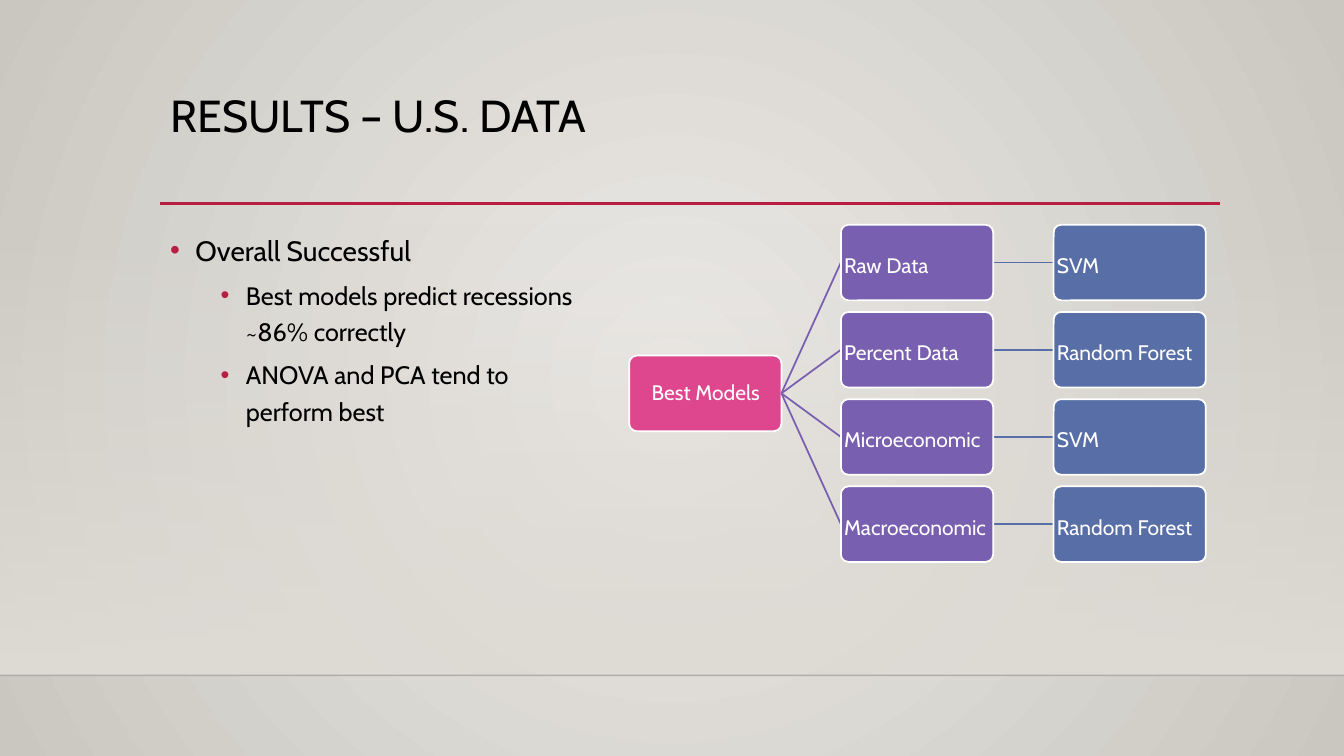
from dataclasses import dataclass

import pptx
import pptx.dml.color
import pptx.enum.shapes
import pptx.enum.text
import pptx.oxml.ns
import pptx.util
from lxml import etree

Inches = pptx.util.Inches
Pt = pptx.util.Pt
qn = pptx.oxml.ns.qn
ALIGN = pptx.enum.text.PP_ALIGN


@dataclass(frozen=True)
class Theme:
    font: str = "Cabin"
    ink: str = "000000"
    white: str = "FFFFFF"
    accent: str = "B71E42"
    floor_edge: str = "000001"
    wall_center: str = "ECEAE7"
    wall_edge: str = "CAC7C1"
    haze: str = "DFDBD5"
    root: str = "DE478E"
    dataset: str = "795FAF"
    model: str = "586EA6"
    title_size: int = 32
    bullet_size: int = 20
    sub_bullet_size: int = 18
    node_size: int = 15


THEME = Theme()
SLIDE_WIDTH, SLIDE_HEIGHT = 13.33, 7.5
NODE_WIDTH, NODE_HEIGHT = 1.51, 0.75
ROOT_X, DATASET_X, MODEL_X = 6.24, 8.34, 10.45
TREE_TOP, ROW_STEP = 2.23, 0.865
BEST_MODELS = [
    ("Raw Data", "SVM"),
    ("Percent Data", "Random Forest"),
    ("Microeconomic", "SVM"),
    ("Macroeconomic", "Random Forest"),
]
FINDINGS = [
    ("Overall Successful", 0),
    ("Best models predict recessions ~86% correctly", 1),
    ("ANOVA and PCA tend to perform best", 1),
]


def rgb(color):
    return pptx.dml.color.RGBColor.from_string(color)


def set_alpha(color_element, percent):
    etree.SubElement(color_element, qn("a:alpha"), val=str(percent * 1000))


def set_gradient(fill, start, end):
    fill.gradient()
    for stop, color in zip(fill.gradient_stops, (start, end)):
        stop.color.rgb = rgb(color)
    fill.gradient_stops[0].position = 0
    fill.gradient_stops[1].position = 1


def paint_wall(slide):
    set_gradient(slide.background.fill, THEME.wall_center, THEME.wall_edge)
    linear = slide.element.xpath(".//p:bg//a:lin")[0]
    circle = etree.Element(qn("a:path"))
    circle.set("path", "circle")
    center = {side: "50000" for side in "ltrb"}
    etree.SubElement(circle, qn("a:fillToRect"), center)
    linear.getparent().replace(linear, circle)


def add_haze(slide):
    haze = slide.shapes.add_shape(
        pptx.enum.shapes.MSO_SHAPE.RECTANGLE,
        Inches(0), Inches(2.21), Inches(SLIDE_WIDTH), Inches(4.49))
    haze.shadow.inherit = False
    haze.line.fill.background()
    set_gradient(haze.fill, THEME.haze, THEME.haze)
    haze.fill.gradient_angle = 270
    set_alpha(haze.element.xpath(".//a:gs/a:srgbClr")[0], 0)


def add_line(slide, start, end, color, width, opacity=100):
    line = slide.shapes.add_connector(
        pptx.enum.shapes.MSO_CONNECTOR.STRAIGHT,
        *(Inches(value) for value in (*start, *end)))
    line.line.color.rgb = rgb(color)
    line.line.width = Pt(width)
    if opacity < 100:
        set_alpha(line.element.xpath(".//a:ln//a:srgbClr")[0], opacity)
    etree.SubElement(line.element.spPr, qn("a:effectLst"))


def add_run(paragraph, text, size, color):
    run = paragraph.add_run()
    run.text = text
    run.font.name = THEME.font
    run.font.size = Pt(size)
    run.font.color.rgb = rgb(color)


def add_text_frame(slide, left, top, width, height):
    box = slide.shapes.add_textbox(
        Inches(left), Inches(top), Inches(width), Inches(height))
    box.text_frame.word_wrap = True
    return box.text_frame


def add_title(slide, text):
    paragraph = add_text_frame(slide, 1.59, 0.88, 10.5, 1.15).paragraphs[0]
    paragraph.line_spacing = 0.9
    add_run(paragraph, text, THEME.title_size, THEME.ink)


def set_bullet(paragraph, indent):
    properties = paragraph._p.get_or_add_pPr()
    properties.set("marL", str(Inches(indent)))
    properties.set("indent", str(Inches(-0.25)))
    bullet_color = etree.SubElement(properties, qn("a:buClr"))
    etree.SubElement(bullet_color, qn("a:srgbClr"), val=THEME.accent)
    etree.SubElement(properties, qn("a:buFont"), typeface="Arial")
    etree.SubElement(properties, qn("a:buChar"), char="•")


def add_findings(slide, findings):
    frame = add_text_frame(slide, 1.59, 2.2, 4.2, 3.77)
    sizes = (THEME.bullet_size, THEME.sub_bullet_size)
    for index, (text, level) in enumerate(findings):
        paragraph = frame.add_paragraph() if index else frame.paragraphs[0]
        paragraph.level = level
        paragraph.line_spacing = 1.2
        paragraph.space_before = Pt((10, 5)[level])
        set_bullet(paragraph, 0.25 + 0.5 * level)
        add_run(paragraph, text, sizes[level], THEME.ink)


def add_node(slide, left, top, text, color, align=ALIGN.LEFT, spacing=1.2):
    node = slide.shapes.add_shape(
        pptx.enum.shapes.MSO_SHAPE.ROUNDED_RECTANGLE,
        Inches(left), Inches(top), Inches(NODE_WIDTH), Inches(NODE_HEIGHT))
    node.adjustments[0] = 0.1
    node.shadow.inherit = False
    node.fill.solid()
    node.fill.fore_color.rgb = rgb(color)
    node.line.color.rgb = rgb(THEME.white)
    node.line.width = Pt(1.25)
    frame = node.text_frame
    frame.word_wrap = True
    frame.vertical_anchor = pptx.enum.text.MSO_ANCHOR.MIDDLE
    frame.margin_left = Inches(0.01)
    frame.margin_right = Inches(0)
    frame.margin_top = frame.margin_bottom = Inches(0.01)
    paragraph = frame.paragraphs[0]
    paragraph.alignment = align
    paragraph.line_spacing = spacing
    add_run(paragraph, text, THEME.node_size, THEME.white)


def add_model_tree(slide, rows):
    root_top = TREE_TOP + ROW_STEP * (len(rows) - 1) / 2
    root_middle = root_top + NODE_HEIGHT / 2
    add_node(slide, ROOT_X, root_top, "Best Models", THEME.root, ALIGN.CENTER, 0.9)
    for index, (dataset, model) in enumerate(rows):
        top = TREE_TOP + index * ROW_STEP
        middle = top + NODE_HEIGHT / 2
        add_line(slide, (ROOT_X + NODE_WIDTH, root_middle), (DATASET_X, middle),
                 THEME.dataset, 1.25)
        add_line(slide, (DATASET_X + NODE_WIDTH, middle), (MODEL_X, middle),
                 THEME.model, 1.25)
        add_node(slide, DATASET_X, top, dataset, THEME.dataset)
        add_node(slide, MODEL_X, top, model, THEME.model)


def main():
    deck = pptx.Presentation()
    deck.slide_width = Inches(SLIDE_WIDTH)
    deck.slide_height = Inches(SLIDE_HEIGHT)
    slide = deck.slides.add_slide(deck.slide_layouts[6])
    paint_wall(slide)
    add_haze(slide)
    add_line(slide, (0, 6.7), (SLIDE_WIDTH, 6.7), THEME.floor_edge, 1, 20)
    add_line(slide, (1.59, 2.02), (12.1, 2.02), THEME.accent, 2.5)
    add_title(slide, "RESULTS – U.S. DATA")
    add_findings(slide, FINDINGS)
    add_model_tree(slide, BEST_MODELS)
    deck.save("out.pptx")


if __name__ == "__main__":
    main()
